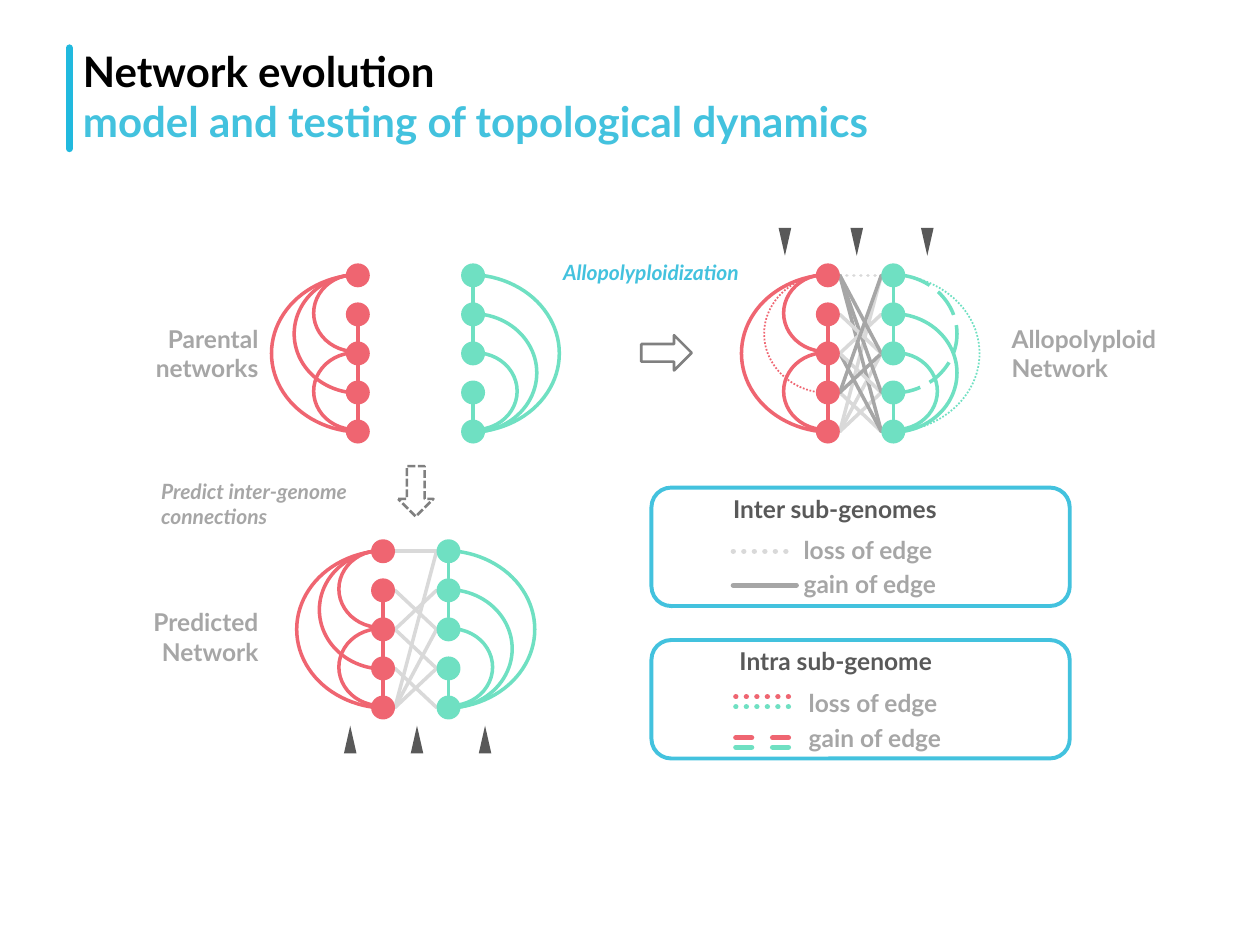
from pptx import Presentation
from pptx import util as u
from pptx.dml.color import RGBColor
from pptx.enum import dml, shapes, text
from pptx.oxml import ns, xmlchemy
from lxml import etree

RED = RGBColor(0xEF, 0x65, 0x71)
GREEN = RGBColor(0x6F, 0xE0, 0xC2)
BLUE = RGBColor(0x43, 0xC2, 0xDE)
BAR_BLUE = RGBColor(0x21, 0xB9, 0xDE)
BLACK = RGBColor(0, 0, 0)
DARK = RGBColor(0x59, 0x59, 0x59)
OUTLINE = RGBColor(0x80, 0x80, 0x80)
GREY = RGBColor(0xA6, 0xA6, 0xA6)
PALE = RGBColor(0xD9, 0xD9, 0xD9)
KIND = shapes.MSO_SHAPE
DASH = dml.MSO_LINE
LEFT, RIGHT = text.PP_ALIGN.LEFT, text.PP_ALIGN.RIGHT

prs = Presentation()
prs.slide_width, prs.slide_height = u.Inches(10), u.Inches(7.5)
s = prs.slides.add_slide(prs.slide_layouts[6])

# Grid of 100 columns by 75 rows
COL, ROW = prs.slide_width / 100, prs.slide_height / 75


def draw(kind, x, y, w, h, fill=None, line=None, width=2, dash=None, flip=None):
    """Add a preset shape, or a straight line of extent w by h when kind is None."""
    x, y, w, h = int(x * COL), int(y * ROW), int(w * COL), int(h * ROW)
    if kind is None:
        sp = s.shapes.add_connector(shapes.MSO_CONNECTOR.STRAIGHT, x, y, x + w, y + h)
    else:
        sp = s.shapes.add_shape(kind, x, y, w, h)
        sp.shadow.inherit = False
        if fill is None:
            sp.fill.background()
        else:
            sp.fill.solid()
            sp.fill.fore_color.rgb = fill
    if line is None:
        sp.line.fill.background()
    else:
        sp.line.color.rgb = line
        sp.line.width = u.Pt(width)
        sp.line.dash_style = dash
    pr = sp._element.spPr
    if kind is None:
        pr.find(ns.qn("a:ln")).set("cap", "rnd")
        etree.SubElement(pr, ns.qn("a:effectLst"))
    if flip:
        pr.find(ns.qn("a:xfrm")).set(flip, "1")
    return sp


# Title bar
draw(None, 5.5, 3.8, 0, 8, line=BAR_BLUE, width=4)

# Networks: five nodes a side, arcs by (first node, last node, width, dash),
# and edges across by (red node, green node, colour, dash)
PITCH, NODE = 3.1, 1.9
ARC_SIZE = {4: (14.3, 12.5, 0.3), 3: (10.2, 9.4, 0.05), 2: (6.6, 6.1, -0.2)}
RED_LINKS, GREEN_LINKS = (1, 2, 3), (0, 1, 3)
RED_ARCS = [(0, 4, 2, None), (0, 3, 2, None), (0, 2, 2, None), (2, 4, 2, None)]
GREEN_ARCS = [(0, 4, 2, None), (2, 4, 2, None), (1, 4, 2, None)]
RED_CHANGED = [(0, 4, 2, None), (0, 2, 2, None), (2, 4, 2, None),
               (0, 3, 1, DASH.ROUND_DOT)]
GREEN_CHANGED = [(0, 3, 2, DASH.LONG_DASH), (0, 4, 1, DASH.ROUND_DOT),
                 (2, 4, 2, None), (1, 4, 2, None)]
PREDICTED = [(r, g, PALE, None) for r, g in (
    (4, 3), (4, 2), (4, 0), (3, 4), (2, 3), (2, 1), (1, 2), (0, 0))]
OBSERVED = PREDICTED[:4] + [(2, 4, GREY, None), (0, 4, GREY, None),
                            (2, 3, PALE, None), (3, 2, GREY, None),
                            (0, 3, GREY, None), (2, 1, PALE, None),
                            (0, 0, PALE, DASH.ROUND_DOT), (1, 2, PALE, None),
                            (0, 2, GREY, None), (3, 0, GREY, None)]

for red_x, green_x, top, red_arcs, green_arcs, across in (
        (28.4, 37.55, 21.85, RED_ARCS, GREEN_ARCS, []),
        (65.7, 70.9, 21.85, RED_CHANGED, GREEN_CHANGED, OBSERVED),
        (30.4, 35.6, 43.75, RED_ARCS, GREEN_ARCS, PREDICTED)):
    for x, colour, arcs, links, side, flip in (
            (red_x, RED, red_arcs, RED_LINKS, 1, None),
            (green_x, GREEN, green_arcs, GREEN_LINKS, -1, "flipH")):
        for first, last, width, dash in arcs:
            w, h, shift = ARC_SIZE[last - first]
            sp = draw(KIND.ARC, x + side * shift - w / 2, top + first * PITCH - 0.05,
                      w, h, line=colour, width=width, dash=dash, flip=flip)
            sp.adjustments[0], sp.adjustments[1] = 54.055, 162.238
        for i in links:
            draw(None, x, top + i * PITCH + NODE / 2, 0, PITCH - NODE, line=colour)
    for i, j, colour, dash in across:
        draw(None, red_x + NODE / 2, top + i * PITCH, green_x - red_x - NODE,
             (j - i) * PITCH, line=colour, dash=dash)
    for x, colour, flip in ((red_x, RED, None), (green_x, GREEN, "flipH")):
        for i in range(5):
            draw(KIND.OVAL, x - NODE / 2, top + i * PITCH - NODE / 2,
                 NODE, NODE, fill=colour, flip=flip)

# Block arrows between the networks
draw(KIND.DOWN_ARROW, 51.5, 26, 2.8, 4, line=OUTLINE, width=1.5).rotation = 270
draw(KIND.DOWN_ARROW, 31.6, 37, 2.8, 4, line=OUTLINE, width=1.5,
     dash=DASH.SQUARE_DOT)

# Triangle markers
for y, flip, columns in ((57.6, None, (27.3, 32.6, 38)),
                         (18.1, "flipV", (61.8, 67.5, 73.1))):
    for x in columns:
        draw(KIND.ISOSCELES_TRIANGLE, x, y, 1, 2.2, fill=DARK, flip=flip)

# Legend frames and line samples
for y in (38.7, 50.8):
    draw(KIND.ROUNDED_RECTANGLE, 51.7, y, 33.2, 9.4, line=BLUE, width=2.25)
for x, y, colour, dash in ((58.2, 43.75, PALE, DASH.ROUND_DOT),
                           (58.2, 46.45, GREY, None),
                           (58.4, 55.3, RED, DASH.ROUND_DOT),
                           (58.4, 56.1, GREEN, DASH.ROUND_DOT),
                           (58.4, 58.55, RED, DASH.DASH),
                           (58.4, 59.3, GREEN, DASH.DASH)):
    draw(None, x, y, 5, 0, line=colour, width=3, dash=dash)

# Text: place, size, slant, alignment, paragraphs with their colours
for x, y, w, h, size, italic, align, paragraphs in (
        (5.6, 3.1, 66.3, 9.1, 24, False, LEFT,
         [("Network evolution", BLACK),
          ("model and testing of topological dynamics", BLUE)]),
        (6.5, 25.2, 15, 5.7, 14, False, RIGHT, [("Parental", GREY), ("networks", GREY)]),
        (6.5, 47.7, 15, 5.7, 14, False, RIGHT, [("Predicted", GREY), ("Network", GREY)]),
        (79.3, 25.2, 15, 5.7, 14, False, LEFT,
         [("Allopolyploid", GREY), ("Network", GREY)]),
        (43.7, 20.1, 17.1, 3, 12, True, LEFT, [("Allopolyploidization", BLUE)]),
        (11.8, 37.5, 20.2, 5, 12, True, LEFT,
         [("Predict inter-genome connections", GREY)]),
        (57.2, 38.7, 22.2, 3.4, 14, False, LEFT, [("Inter sub-genomes", DARK)]),
        (62.8, 42, 13.4, 3.4, 14, False, LEFT, [("loss of edge", GREY)]),
        (62.8, 44.7, 13.4, 3.4, 14, False, LEFT, [("gain of edge", GREY)]),
        (57.7, 50.8, 21.2, 3.4, 14, False, LEFT, [("Intra sub-genome", DARK)]),
        (63.2, 54.1, 13.4, 3.4, 14, False, LEFT, [("loss of edge", GREY)]),
        (63.2, 56.9, 13.4, 3.4, 14, False, LEFT, [("gain of edge", GREY)])):
    tf = s.shapes.add_textbox(int(x * COL), int(y * ROW),
                              int(w * COL), int(h * ROW)).text_frame
    tf.word_wrap = True
    for n, (words, colour) in enumerate(paragraphs):
        p = tf.add_paragraph() if n else tf.paragraphs[0]
        p.alignment = align
        r = p.add_run()
        r.text = words
        for key, value in dict(name="Lato", size=u.Pt(size), bold=True,
                               italic=italic).items():
            setattr(r.font, key, value)
        r.font.color.rgb = colour

prs.save("out.pptx")
